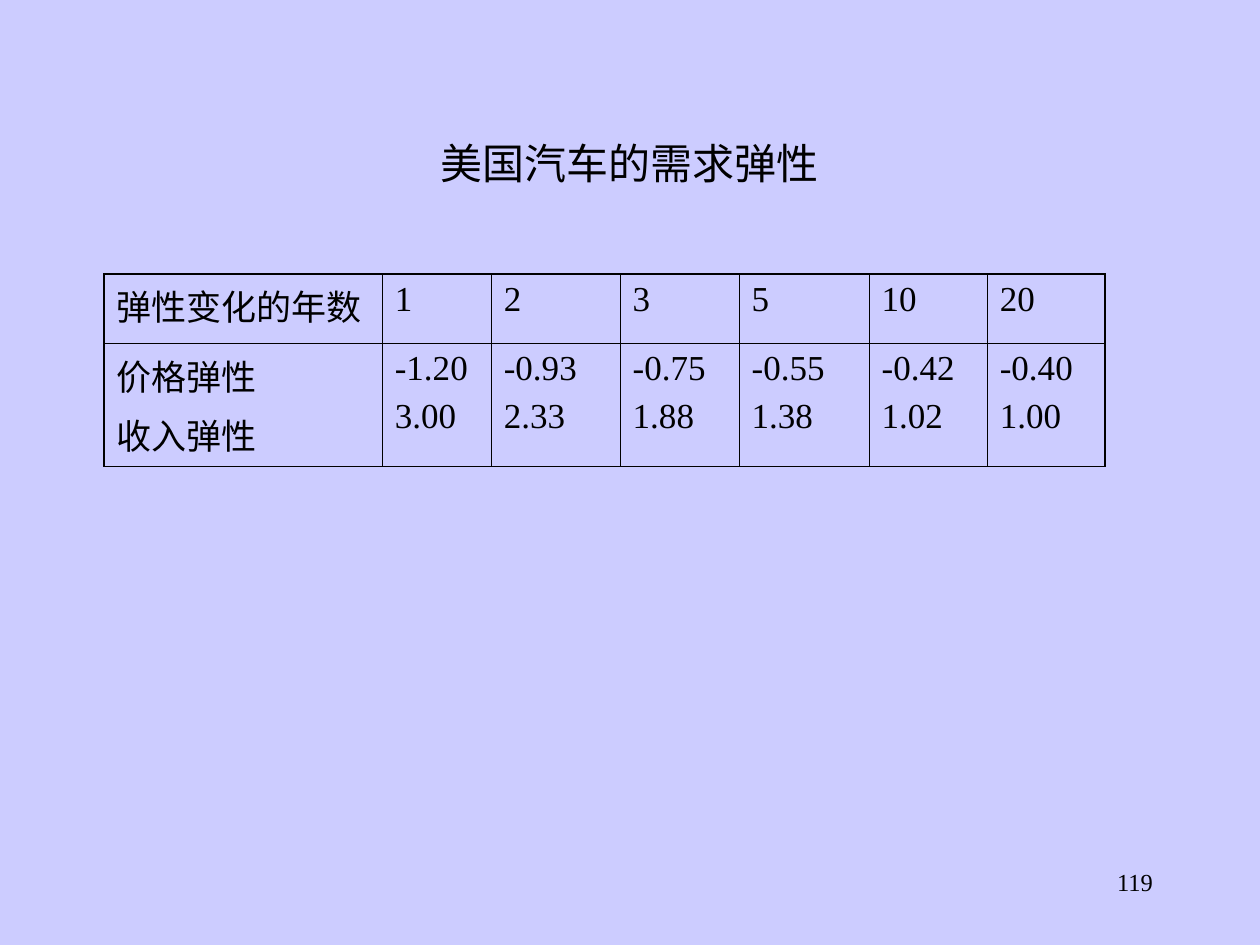
from lxml.etree import SubElement
from pptx import Presentation
from pptx.dml.color import RGBColor
from pptx.enum.text import MSO_ANCHOR, PP_ALIGN
from pptx.oxml.ns import qn
from pptx.util import Pt

FONT = "Times New Roman"
BLACK = "000000"
OUTER_LINE, INNER_LINE = 1.08, 0.45
COLUMN_WIDTHS = [159, 62.3, 73.7, 68, 74.3, 67.5, 67.5]
ROW_HEIGHTS = [39.6, 70.4]
# Each cell holds a list of paragraphs
ELASTICITY_ROWS = [
    [["弹性变化的年数"], ["1"], ["2"], ["3"], ["5"], ["10"], ["20"]],
    [["价格弹性", "收入弹性"], ["-1.20", "3.00"], ["-0.93", "2.33"],
     ["-0.75", "1.88"], ["-0.55", "1.38"], ["-0.42", "1.02"],
     ["-0.40", "1.00"]],
]


def color(value):
    return RGBColor.from_string(value)


def write_text(frame, lines, size=20, align=PP_ALIGN.LEFT, space_before=0):
    for index, line in enumerate(lines):
        paragraph = frame.add_paragraph() if index else frame.paragraphs[0]
        paragraph.alignment = align
        if index:
            paragraph.space_before = Pt(space_before)
        run = paragraph.add_run()
        run.text = line
        run.font.name = FONT
        run.font.size = Pt(size)
        run.font.color.rgb = color(BLACK)


def add_text_box(slide, text, left, top, width, height,
                 anchor=MSO_ANCHOR.TOP, **text_format):
    frame = slide.shapes.add_textbox(
        Pt(left), Pt(top), Pt(width), Pt(height)).text_frame
    frame.word_wrap = True
    frame.vertical_anchor = anchor
    write_text(frame, [text], **text_format)


def set_borders(cell, widths):
    """Draw the cell's borders; widths maps L, R, T and B to points."""
    properties = cell._tc.get_or_add_tcPr()
    for index, (side, width) in enumerate(widths.items()):
        line = SubElement(properties, qn(f"a:ln{side}"), w=str(Pt(width)))
        fill = SubElement(line, qn("a:solidFill"))
        SubElement(fill, qn("a:srgbClr"), val=BLACK)
        properties.insert(index, line)  # borders come before the fill


def add_table(slide, rows, left, top):
    row_count, column_count = len(rows), len(rows[0])
    table = slide.shapes.add_table(
        row_count, column_count, Pt(left), Pt(top),
        Pt(sum(COLUMN_WIDTHS)), Pt(sum(ROW_HEIGHTS))).table
    table.first_row = table.horz_banding = False
    for column, width in zip(table.columns, COLUMN_WIDTHS):
        column.width = Pt(width)
    for row, height in zip(table.rows, ROW_HEIGHTS):
        row.height = Pt(height)

    for row_index, row in enumerate(rows):
        for column_index, lines in enumerate(row):
            cell = table.cell(row_index, column_index)
            cell.fill.background()
            write_text(cell.text_frame, lines, space_before=5)
            on_edge = {
                "L": column_index == 0,
                "R": column_index == column_count - 1,
                "T": row_index == 0,
                "B": row_index == row_count - 1,
            }
            set_borders(cell, {side: OUTER_LINE if edge else INNER_LINE
                               for side, edge in on_edge.items()})


def main():
    presentation = Presentation()
    presentation.slide_width, presentation.slide_height = Pt(720), Pt(540)
    slide = presentation.slides.add_slide(presentation.slide_layouts[6])
    slide.background.fill.solid()
    slide.background.fill.fore_color.rgb = color("CCCCFF")

    # Page number
    add_text_box(slide, "119", 516, 492, 150, 36,
                 size=14, align=PP_ALIGN.RIGHT)
    # Title
    add_text_box(slide, "美国汽车的需求弹性", 54, 48, 612, 90,
                 anchor=MSO_ANCHOR.MIDDLE, size=24, align=PP_ALIGN.CENTER)
    # Elasticity table
    add_table(slide, ELASTICITY_ROWS, 59.4, 156.5)

    presentation.save("out.pptx")


if __name__ == "__main__":
    main()
